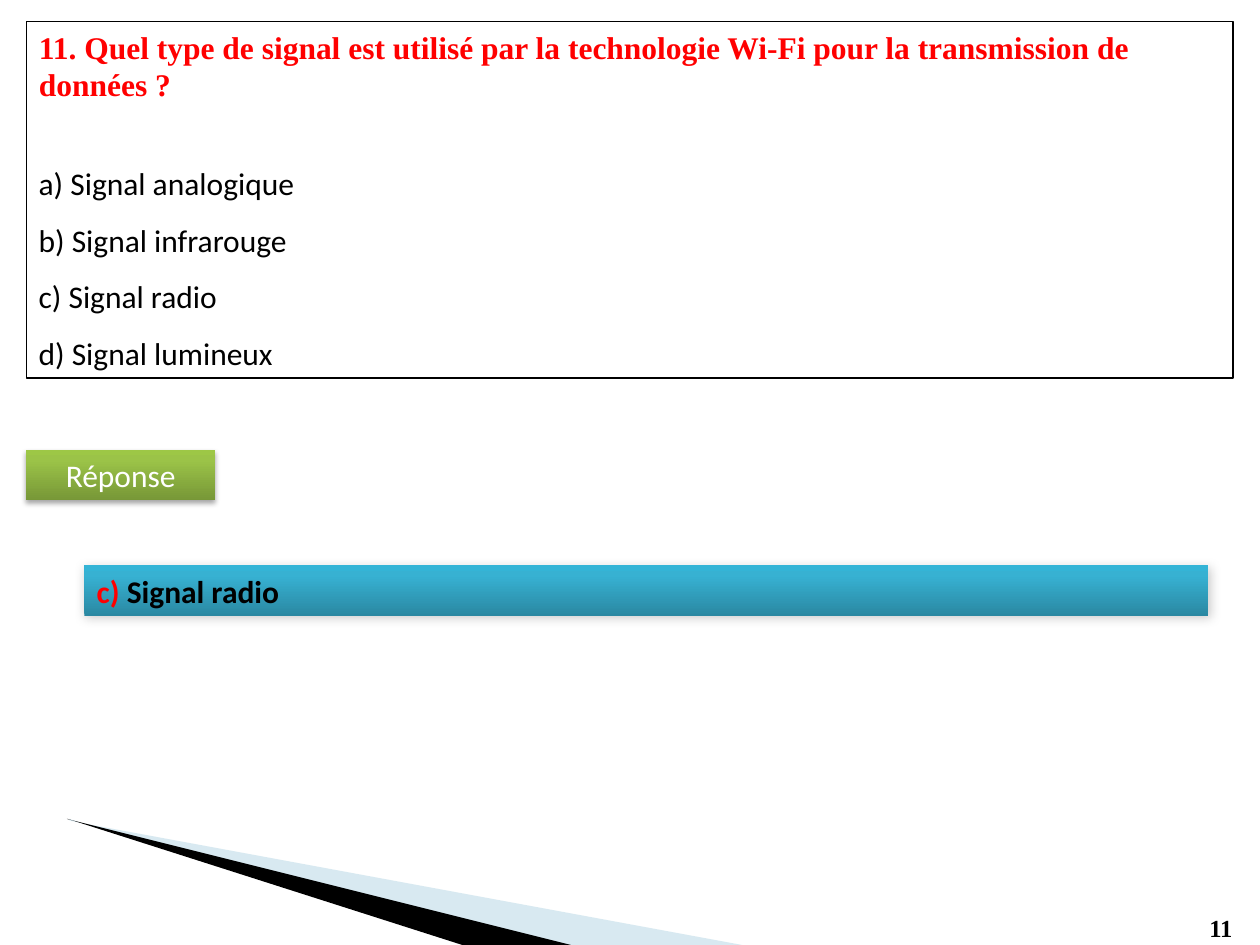
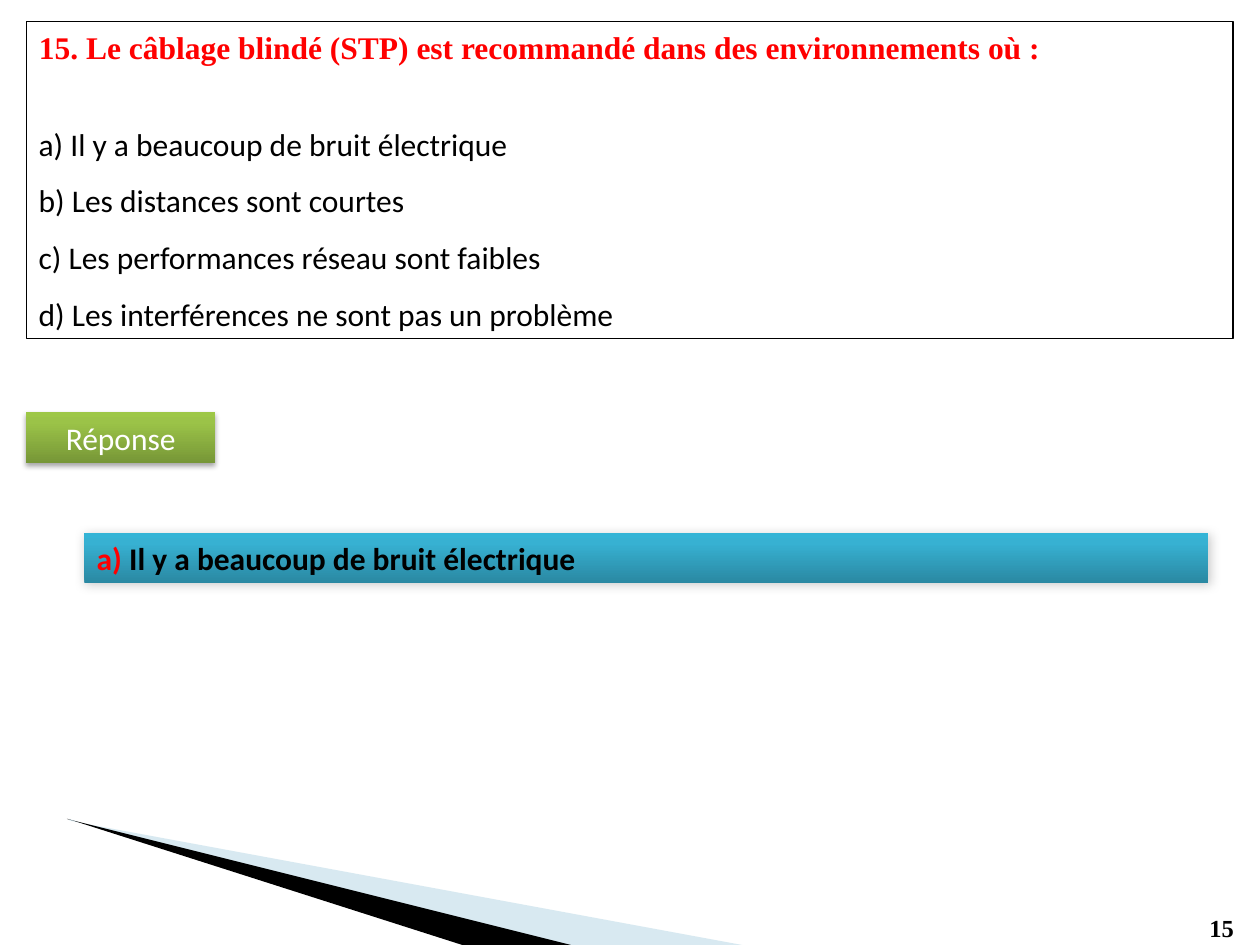
from dataclasses import dataclass

from lxml import etree
from pptx import Presentation
from pptx.dml.color import RGBColor
from pptx.enum.shapes import MSO_SHAPE
from pptx.enum.text import MSO_ANCHOR, MSO_AUTO_SIZE, PP_ALIGN
from pptx.oxml.ns import qn
from pptx.util import Cm, Pt

RECT = MSO_SHAPE.RECTANGLE
TOP, MIDDLE, BOTTOM = MSO_ANCHOR.TOP, MSO_ANCHOR.MIDDLE, MSO_ANCHOR.BOTTOM
LEFT, CENTER, JUSTIFY = PP_ALIGN.LEFT, PP_ALIGN.CENTER, PP_ALIGN.JUSTIFY
NO_FIT = MSO_AUTO_SIZE.NONE
TITLE_ONLY = 5

BLACK, WHITE, RED, PALE_BLUE = "000000", "FFFFFF", "FF0000", "9FCADC"
SERIF, SANS = "Times New Roman", "Calibri"

MARGIN, BOX_TOP, BOX_WIDTH = Cm(0.53), Cm(0.43), Cm(24.33)
TITLE_HEIGHT, BAND_HEIGHT = Cm(1.8), Cm(1.02)


@dataclass(frozen=True)
class Band:
    """Look and horizontal place of a gradient band."""
    left: float
    width: float
    stops: tuple[tuple[int, str], ...]
    alpha: int
    blur: float
    distance: float
    direction: int
    align: PP_ALIGN


@dataclass(frozen=True)
class Question:
    """A numbered question, its choices and the right one."""
    number: int
    text: str
    choices: tuple[str, ...]
    right: int
    box_height: float
    label_top: float
    answer_top: float


@dataclass(frozen=True)
class Wedge:
    """A corner decoration made of closed contours."""
    contours: tuple[tuple[tuple[float, float], ...], ...]
    color: str
    alpha: int


LABEL = Band(0.53, 3.81, ((0, "779737"), (80, "9BC348"), (100, "9DC746")),
             35, 3.1, 1.8, 90, CENTER)
ANSWER = Band(1.7, 22.66, ((0, "2A88A2"), (80, "37B1D2"), (100, "34B4D6")),
              20, 6, 1, 45, JUSTIFY)

WEDGES = (
    Wedge((((1.63, 16.59), (11.46, 19.05), (14.96, 19.05)),
           ((1.4, 16.51), (1.4, 16.54), (1.63, 16.59))), PALE_BLUE, 40),
    Wedge((((1.35, 16.51), (1.37, 16.51), (9.32, 19.05), (11.51, 19.05)),), BLACK, 100),
)

QUESTIONS = (
    Question(11, "Quel type de signal est utilisé par la technologie Wi-Fi "
                 "pour la transmission de données ?",
             ("Signal analogique", "Signal infrarouge", "Signal radio", "Signal lumineux"),
             2, 7.19, 9.07, 11.4),
    Question(15, "Le câblage blindé (STP) est recommandé dans des environnements où :",
             ("Il y a beaucoup de bruit électrique", "Les distances sont courtes",
              "Les performances réseau sont faibles",
              "Les interférences ne sont pas un problème"),
             0, 6.4, 8.31, 10.74),
)


def rgb(color: str) -> RGBColor:
    """Turn a hex string into a colour."""
    return RGBColor.from_string(color)


def add_run(p, text: str, color: str, name: str = SANS, size: int = 18,
            bold: bool = False) -> None:
    """Append a formatted run to a paragraph."""
    r = p.add_run()
    r.text = text
    for key, value in {"name": name, "size": Pt(size), "bold": bold}.items():
        setattr(r.font, key, value)
    r.font.color.rgb = rgb(color)


def set_frame(tf, anchor: MSO_ANCHOR) -> None:
    """Wrap the text at a fixed size with the given anchor."""
    for key, value in {"word_wrap": True, "auto_size": NO_FIT,
                       "vertical_anchor": anchor}.items():
        setattr(tf, key, value)


def choice_letter(index: int) -> str:
    """Return the mark that precedes a choice."""
    return f"{'abcd'[index]}) "


def set_alpha(color_element, percent: int) -> None:
    """Make a colour element partly transparent."""
    etree.SubElement(color_element, qn("a:alpha"), val=str(percent * 1000))


def add_color(parent, color: str):
    """Append a colour element."""
    return etree.SubElement(parent, qn("a:srgbClr"), val=color)


def add_wedge(s, wedge: Wedge) -> None:
    """Draw one corner decoration."""
    contours = [[(Cm(x), Cm(y)) for x, y in c] for c in wedge.contours]
    builder = s.shapes.build_freeform(*contours[0][0], scale=1.0)
    builder.add_line_segments(contours[0][1:], close=True)
    for start, *rest in contours[1:]:
        builder.move_to(*start)
        builder.add_line_segments(rest, close=True)
    sp = builder.convert_to_shape()
    sp.shadow.inherit = False
    sp.line.fill.background()
    sp.fill.solid()
    sp.fill.fore_color.rgb = rgb(wedge.color)
    if wedge.alpha < 100:
        set_alpha(sp.element.spPr.find(f"{qn('a:solidFill')}/{qn('a:srgbClr')}"), wedge.alpha)


def add_band(s, band: Band, top: float):
    """Draw a gradient band with a soft shadow and return its paragraph."""
    sp = s.shapes.add_shape(RECT, Cm(band.left), Cm(top), Cm(band.width), BAND_HEIGHT)
    sp.line.fill.background()
    sp.fill.gradient()
    sp.fill.gradient_angle = 90
    stops = sp.element.spPr.find(f".//{qn('a:gsLst')}")
    stops.clear()
    for position, color in band.stops:
        add_color(etree.SubElement(stops, qn("a:gs"), pos=str(position * 1000)), color)
    sp.shadow.inherit = False
    shadow = etree.SubElement(
        sp.element.spPr.find(qn("a:effectLst")), qn("a:outerShdw"),
        blurRad=str(Pt(band.blur)), dist=str(Pt(band.distance)),
        dir=str(band.direction * 60000), rotWithShape="0")
    set_alpha(add_color(shadow, BLACK), band.alpha)
    set_frame(sp.text_frame, MIDDLE)
    p = sp.text_frame.paragraphs[0]
    p.alignment = band.align
    return p


def add_title(s, q: Question) -> None:
    """Place the question in the title placeholder."""
    title = s.shapes.title
    for key, value in {"left": MARGIN, "top": BOX_TOP, "width": BOX_WIDTH,
                       "height": TITLE_HEIGHT}.items():
        setattr(title, key, value)
    set_frame(title.text_frame, TOP)
    p = title.text_frame.paragraphs[0]
    p.alignment = LEFT
    add_run(p, f"{q.number}. {q.text}", RED, SERIF, bold=True)


def add_choices(s, q: Question) -> None:
    """Draw the outlined box with the choices at its foot."""
    sp = s.shapes.add_shape(RECT, MARGIN, BOX_TOP, BOX_WIDTH, Cm(q.box_height))
    sp.shadow.inherit = False
    sp.fill.background()
    sp.line.color.rgb = rgb(BLACK)
    sp.line.width = Pt(0.75)
    tf = sp.text_frame
    set_frame(tf, BOTTOM)
    for i, choice in enumerate(q.choices):
        p = tf.add_paragraph() if i else tf.paragraphs[0]
        p.alignment = LEFT
        p.line_spacing = 1.5
        add_run(p, choice_letter(i) + choice, BLACK)


def add_number(s, number: int) -> None:
    """Write the slide number in the lower right corner."""
    tf = s.shapes.add_textbox(Cm(24.13), Cm(18.29), Cm(1.22), Cm(0.86)).text_frame
    set_frame(tf, TOP)
    add_run(tf.paragraphs[0], str(number), BLACK, SERIF, 14, True)


def add_question_slide(prs, q: Question) -> None:
    """Build the slide of one question."""
    s = prs.slides.add_slide(prs.slide_layouts[TITLE_ONLY])
    for wedge in WEDGES:
        add_wedge(s, wedge)
    add_number(s, q.number)
    add_title(s, q)
    add_choices(s, q)
    add_run(add_band(s, LABEL, q.label_top), "Réponse", WHITE)
    p = add_band(s, ANSWER, q.answer_top)
    add_run(p, choice_letter(q.right), RED, bold=True)
    add_run(p, q.choices[q.right], BLACK, bold=True)


def main() -> None:
    """Build and save the presentation."""
    prs = Presentation()
    prs.slide_width, prs.slide_height = Cm(25.4), Cm(19.05)
    for q in QUESTIONS:
        add_question_slide(prs, q)
    prs.save("out.pptx")


if __name__ == "__main__":
    main()
